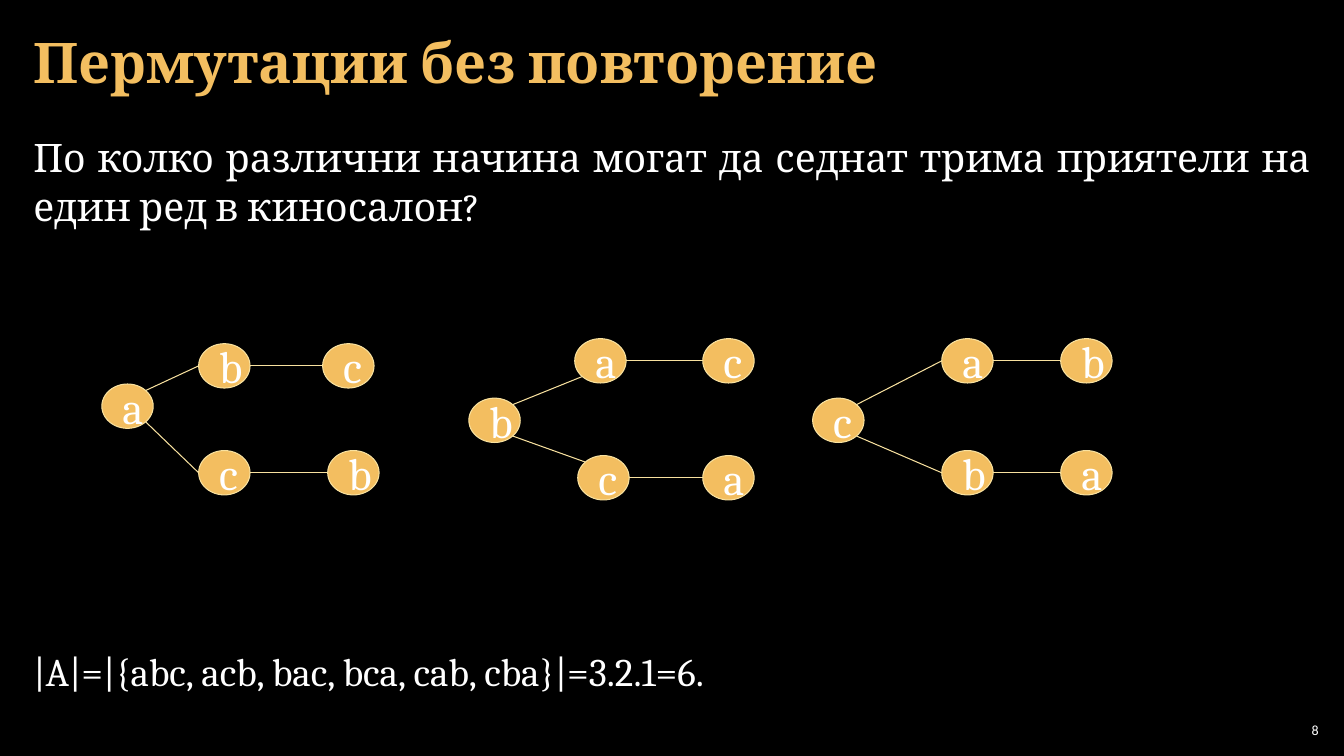
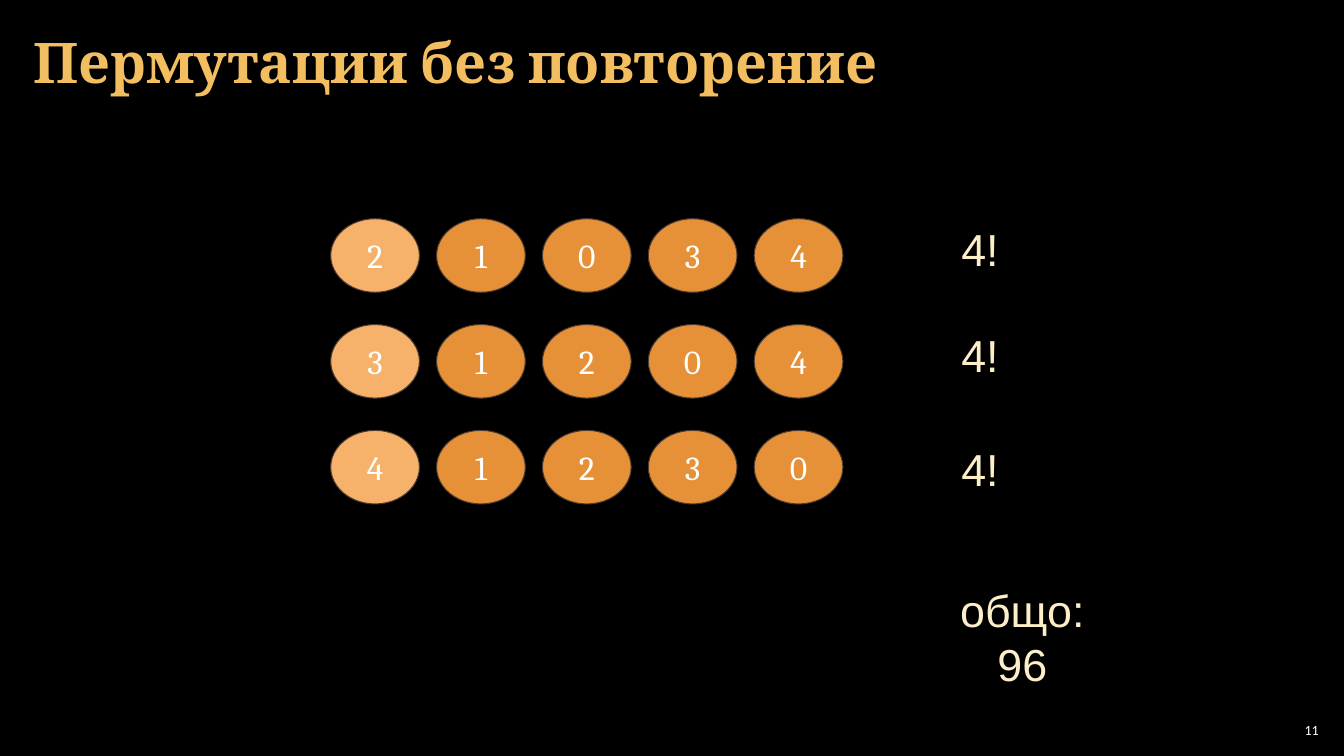
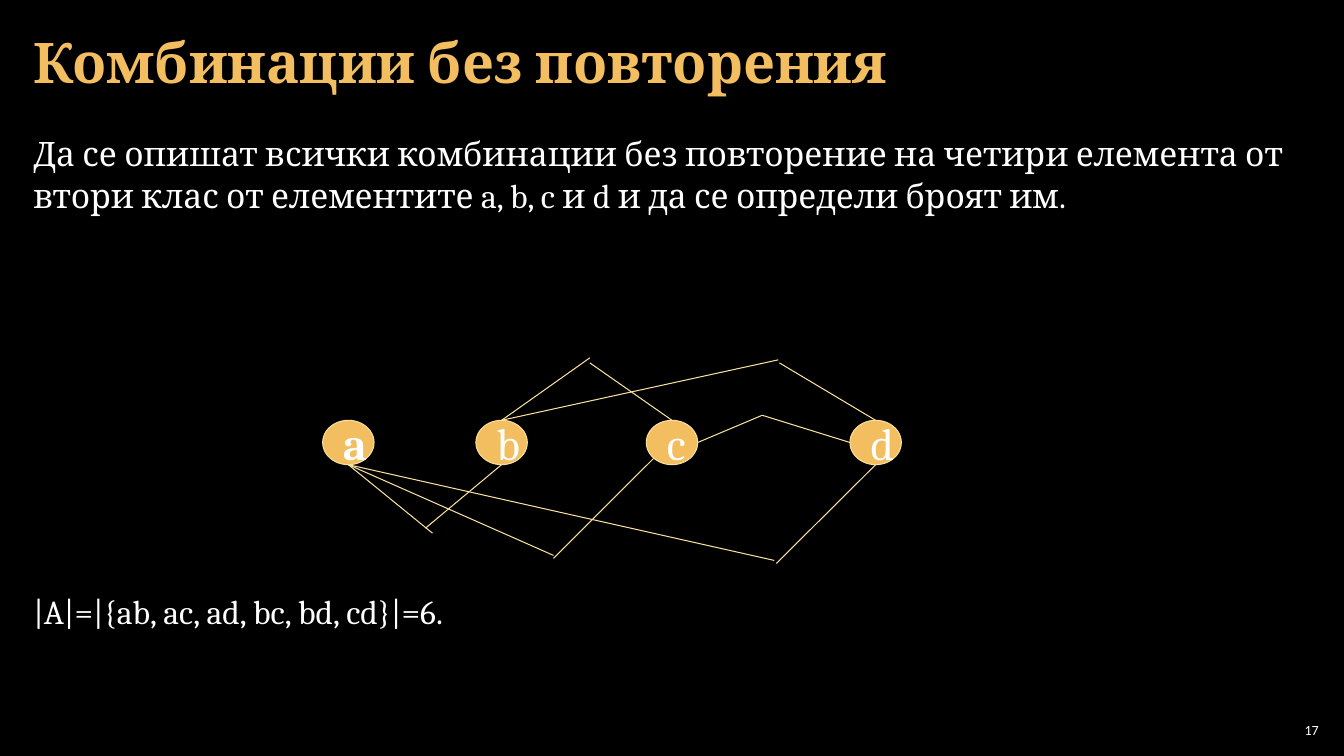
from lxml import etree
from pptx import Presentation
from pptx.dml.color import RGBColor
from pptx.enum import shapes, text
from pptx.oxml import ns
from pptx.util import Inches, Pt

BLACK = RGBColor(0x00, 0x00, 0x00)
WHITE = RGBColor(0xFF, 0xFF, 0xFF)
GOLD = RGBColor(0xF3, 0xBE, 0x60)
PALE_GOLD = RGBColor(0xF8, 0xE1, 0x9F)
CREAM = RGBColor(0xFB, 0xEE, 0xC9)
LIGHT_ORANGE = RGBColor(0xF6, 0xB2, 0x6B)
ORANGE = RGBColor(0xE6, 0x91, 0x38)
BROWN = RGBColor(0x4E, 0x3B, 0x30)

SERIF, SANS, NUMBER_FONT = "Cambria", "Arial", "Calibri"
LEFT, CENTER, RIGHT, JUSTIFY = (
    text.PP_ALIGN.LEFT, text.PP_ALIGN.CENTER, text.PP_ALIGN.RIGHT, text.PP_ALIGN.JUSTIFY)
TOP, MIDDLE = text.MSO_ANCHOR.TOP, text.MSO_ANCHOR.MIDDLE
BODY_INSETS = (0.12, 0.04)
TEXT_LEFT, TEXT_WIDTH = 0.21, 12.91

# Points on a circle's outline, as fractions of its half width and half height
DIAGONAL = 0.71
SITES = {
    "top": (0, -1), "bottom": (0, 1), "left": (-1, 0), "right": (1, 0),
    "top left": (-DIAGONAL, -DIAGONAL), "top right": (DIAGONAL, -DIAGONAL),
    "bottom left": (-DIAGONAL, DIAGONAL), "bottom right": (DIAGONAL, DIAGONAL),
}
NODE_SIZE = (0.51, 0.44)
DIGIT_SIZE = (0.88, 0.73)

PERMUTATIONS = {
    "title": "Пермутации без повторение",
    "number": "8",
    "question": "По колко различни начина могат да седнат трима приятели на един ред в киносалон?",
    "answer": "|A|=|{abc, acb, bac, bca, cab, cba}|=3.2.1=6.",
    # root, then upper and lower branch: letter, left, top of each node
    "trees": [
        (("a", 1.01, 3.81),
         (("b", 1.97, 3.41), ("c", 3.2, 3.41), "left"),
         (("c", 1.97, 4.47), ("b", 3.25, 4.47), "left")),
        (("b", 4.65, 3.95),
         (("a", 5.7, 3.36), ("c", 6.97, 3.36), "bottom left"),
         (("c", 5.73, 4.52), ("a", 6.97, 4.52), "top left")),
        (("c", 8.06, 3.95),
         (("a", 9.34, 3.36), ("b", 10.52, 3.36), "left"),
         (("b", 9.34, 4.47), ("a", 10.52, 4.47), "left")),
    ],
}

DIGITS = {
    "title": "Пермутации без повторение",
    "number": "11",
    "rows": ["21034", "31204", "41230"],
    "counts": [("4!", 2.15), ("4!", 3.2), ("4!", 4.33)],
    "total": "общо: 96",
}

COMBINATIONS = {
    "title": "Комбинации без повторения",
    "number": "17",
    "question": "Да се опишат всички комбинации без повторение на четири елемента от втори клас "
                "от елементите a, b, c и d и да се определи броят им.",
    "answer": "|A|=|{ab, ac, ad, bc, bd, cd}|=6.",
    "node_top": 4.17,
    "nodes": {"a": 3.2, "b": 4.72, "c": 6.41, "d": 8.43},
    # letter, site on its circle, free end of the line
    "lines": [
        ("a", "bottom", (4.29, 5.29)), ("b", "bottom", (4.22, 5.24)),
        ("a", "bottom", (5.49, 5.51)), ("c", "bottom left", (5.49, 5.54)),
        ("a", "bottom", (7.68, 5.56)), ("d", "bottom", (7.7, 5.59)),
        ("b", "top", (5.85, 3.55)), ("c", "top", (5.85, 3.6)),
        ("b", "top", (7.72, 3.57)), ("d", "top", (7.73, 3.6)),
        ("c", "right", (7.56, 4.12)), ("d", "left", (7.56, 4.12)),
    ],
}


def write(shape, words, size, color=WHITE, font=SERIF, bold=False,
          align=CENTER, anchor=MIDDLE, insets=(0.13, 0.13), spacing=None):
    frame = shape.text_frame
    frame.word_wrap = True
    frame.vertical_anchor = anchor
    frame.margin_left = frame.margin_right = Inches(insets[0])
    frame.margin_top = frame.margin_bottom = Inches(insets[1])
    para = frame.paragraphs[0]
    para.alignment = align
    if spacing:
        para.line_spacing = spacing
    span = para.add_run()
    span.text = words
    span.font.size = Pt(size)
    span.font.name = font
    span.font.bold = bold
    span.font.color.rgb = color


def add_text(page, words, left, top, width, height, size, **style):
    box = page.shapes.add_textbox(Inches(left), Inches(top), Inches(width), Inches(height))
    write(box, words, size, **style)


def add_circle(page, words, left, top, dimensions, size, fill, outline, bold=False):
    """Draw a labelled circle and return a function that locates its sites."""
    width, height = dimensions
    circle = page.shapes.add_shape(
        shapes.MSO_SHAPE.OVAL, Inches(left), Inches(top), Inches(width), Inches(height))
    circle.shadow.inherit = False
    circle.fill.solid()
    circle.fill.fore_color.rgb = fill
    circle.line.color.rgb = outline
    circle.line.width = Pt(0.75)
    write(circle, words, size, bold=bold)

    def locate(site):
        across, down = SITES[site]
        return left + width / 2 * (1 + across), top + height / 2 * (1 + down)
    return locate


def add_node(page, letter, left, top, bold=False):
    return add_circle(page, letter, left, top, NODE_SIZE, 32, GOLD, PALE_GOLD, bold)


def add_line(page, start, end):
    line = page.shapes.add_connector(
        shapes.MSO_CONNECTOR.STRAIGHT, *(Inches(value) for value in (*start, *end)))
    line.line.color.rgb = PALE_GOLD
    line.line.width = Pt(0.75)
    etree.SubElement(line._element.spPr, ns.qn("a:effectLst"))


def add_page(deck, content):
    """Add a slide with its title and number."""
    page = deck.slides.add_slide(deck.slide_layouts[5])
    title = page.shapes.title
    title.left, title.top = Inches(TEXT_LEFT), Inches(0.04)
    title.width, title.height = Inches(TEXT_WIDTH), Inches(1.21)
    write(title, content["title"], 40, color=GOLD, bold=True, align=LEFT,
          insets=BODY_INSETS, spacing=0.9)
    add_text(page, content["number"], 12.65, 7.14, 0.47, 0.21, 10,
             font=NUMBER_FONT, align=RIGHT, insets=(0.04, 0.04))
    return page


def add_exercise(page, content, size, align, answer_top):
    for words, top, height in ((content["question"], 1.26, 1.1),
                               (content["answer"], answer_top, 0.6)):
        add_text(page, words, TEXT_LEFT, top, TEXT_WIDTH, height, size,
                 align=align, anchor=TOP, insets=BODY_INSETS, spacing=1.05)


def build_permutations(deck):
    page = add_page(deck, PERMUTATIONS)
    add_exercise(page, PERMUTATIONS, 28, JUSTIFY, 6.36)
    for root, *branches in PERMUTATIONS["trees"]:
        root_at = add_node(page, *root)
        for exit_site, (second, third, entry_site) in zip(("top right", "bottom right"), branches):
            second_at = add_node(page, *second)
            third_at = add_node(page, *third)
            add_line(page, root_at(exit_site), second_at(entry_site))
            add_line(page, second_at("right"), third_at("left"))


def build_digits(deck):
    page = add_page(deck, DIGITS)
    pitch = 1.05
    for row, digits in enumerate(DIGITS["rows"]):
        for column, digit in enumerate(digits):
            add_circle(page, digit, 3.28 + column * pitch, 2.17 + row * pitch,
                       DIGIT_SIZE, 24, ORANGE if column else LIGHT_ORANGE, BROWN)
    labels = [(words, top, 0.88, 0.78) for words, top in DIGITS["counts"]]
    labels.append((DIGITS["total"], 5.73, 1.72, 1.11))
    for words, top, width, height in labels:
        add_text(page, words, 9.28, top, width, height, 32, color=CREAM, font=SANS,
                 anchor=TOP, insets=(0.1, 0.05))


def build_combinations(deck):
    page = add_page(deck, COMBINATIONS)
    add_exercise(page, COMBINATIONS, 24, LEFT, 5.8)
    nodes = {letter: add_node(page, letter, left, COMBINATIONS["node_top"], bold=letter == "a")
             for letter, left in COMBINATIONS["nodes"].items()}
    for letter, site, end in COMBINATIONS["lines"]:
        add_line(page, nodes[letter](site), end)


def main():
    deck = Presentation()
    deck.slide_width, deck.slide_height = Inches(13.33), Inches(7.5)
    background = deck.slide_master.background.fill
    background.solid()
    background.fore_color.rgb = BLACK
    build_permutations(deck)
    build_digits(deck)
    build_combinations(deck)
    deck.save("out.pptx")


if __name__ == "__main__":
    main()
